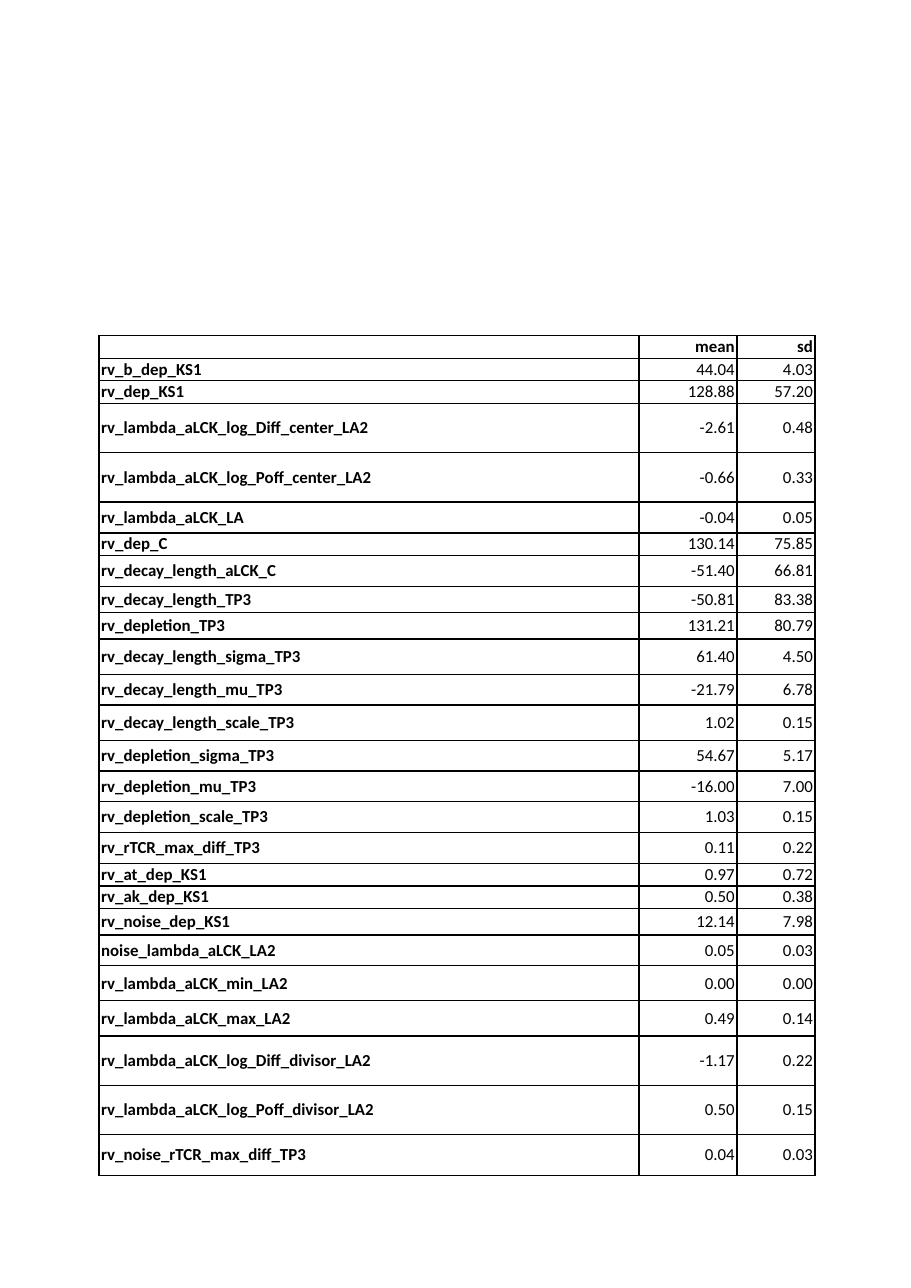
from lxml import etree
from pptx import Presentation, util as u
from pptx.dml.color import RGBColor
from pptx.enum import text
from pptx.oxml.ns import qn

BLACK = RGBColor(0, 0, 0)
WHITE = RGBColor(255, 255, 255)
FONT, SIZE = "Calibri", u.Pt(11)

# Row heights in cm
LINE, LOW, MID, TALL, LAST, DOUBLE = 0.52, 0.61, 0.71, 0.81, 0.94, 1.14
COLUMNS = (12.45, 2.26, 1.8)
LEFT, TOP = 2.28, 7.74

# parameter, mean, sd, row height
ROWS = [
    ("", "mean", "sd", LINE),
    ("rv_b_dep_KS1", "44.04", "4.03", LINE),
    ("rv_dep_KS1", "128.88", "57.20", LINE),
    ("rv_lambda_aLCK_log_Diff_center_LA2", "-2.61", "0.48", DOUBLE),
    ("rv_lambda_aLCK_log_Poff_center_LA2", "-0.66", "0.33", DOUBLE),
    ("rv_lambda_aLCK_LA", "-0.04", "0.05", MID),
    ("rv_dep_C", "130.14", "75.85", LINE),
    ("rv_decay_length_aLCK_C", "-51.40", "66.81", MID),
    ("rv_decay_length_TP3", "-50.81", "83.38", LOW),
    ("rv_depletion_TP3", "131.21", "80.79", LOW),
    ("rv_decay_length_sigma_TP3", "61.40", "4.50", TALL),
    ("rv_decay_length_mu_TP3", "-21.79", "6.78", MID),
    ("rv_decay_length_scale_TP3", "1.02", "0.15", TALL),
    ("rv_depletion_sigma_TP3", "54.67", "5.17", MID),
    ("rv_depletion_mu_TP3", "-16.00", "7.00", MID),
    ("rv_depletion_scale_TP3", "1.03", "0.15", MID),
    ("rv_rTCR_max_diff_TP3", "0.11", "0.22", MID),
    ("rv_at_dep_KS1", "0.97", "0.72", LINE),
    ("rv_ak_dep_KS1", "0.50", "0.38", LINE),
    ("rv_noise_dep_KS1", "12.14", "7.98", LOW),
    ("noise_lambda_aLCK_LA2", "0.05", "0.03", MID),
    ("rv_lambda_aLCK_min_LA2", "0.00", "0.00", TALL),
    ("rv_lambda_aLCK_max_LA2", "0.49", "0.14", TALL),
    ("rv_lambda_aLCK_log_Diff_divisor_LA2", "-1.17", "0.22", DOUBLE),
    ("rv_lambda_aLCK_log_Poff_divisor_LA2", "0.50", "0.15", DOUBLE),
    ("rv_noise_rTCR_max_diff_TP3", "0.04", "0.03", LAST),
]


def add_borders(cell):
    """Draw a thin black line on all four sides of a cell."""
    tc_pr = cell._tc.get_or_add_tcPr()
    for i, side in enumerate(("lnL", "lnR", "lnT", "lnB")):
        ln = etree.Element(qn(f"a:{side}"), w=str(u.Pt(1)))
        fill = etree.SubElement(ln, qn("a:solidFill"))
        etree.SubElement(fill, qn("a:srgbClr"), val=str(BLACK))
        tc_pr.insert(i, ln)


def fill_cell(cell, value, bold, align):
    """Format a cell and write its value."""
    cell.fill.solid()
    cell.fill.fore_color.rgb = WHITE
    add_borders(cell)
    cell.margin_left = cell.margin_right = u.Cm(0.05)
    cell.margin_top = cell.margin_bottom = u.Cm(0.02)
    cell.vertical_anchor = text.MSO_ANCHOR.MIDDLE
    p = cell.text_frame.paragraphs[0]
    p.alignment = align
    if not value:
        etree.SubElement(p._p, qn("a:endParaRPr"), sz=str(int(SIZE.pt * 100)))
        return
    r = p.add_run()
    r.text = value
    r.font.name, r.font.size, r.font.bold = FONT, SIZE, bold
    r.font.color.rgb = BLACK


def add_parameter_table(s):
    """Place the table of parameter means and deviations."""
    height = sum(row[-1] for row in ROWS)
    table = s.shapes.add_table(len(ROWS), len(COLUMNS), u.Cm(LEFT), u.Cm(TOP),
                               u.Cm(sum(COLUMNS)), u.Cm(height)).table
    table.first_row = table.horz_banding = False
    for column, width in zip(table.columns, COLUMNS):
        column.width = u.Cm(width)
    for i, (*values, row_height) in enumerate(ROWS):
        table.rows[i].height = u.Cm(row_height)
        for j, value in enumerate(values):
            align = text.PP_ALIGN.RIGHT if j else text.PP_ALIGN.LEFT
            fill_cell(table.cell(i, j), value, i == 0 or j == 0, align)


prs = Presentation()
prs.slide_width, prs.slide_height = u.Cm(21), u.Cm(29.7)
s = prs.slides.add_slide(prs.slide_layouts[6])
add_parameter_table(s)
prs.save("out.pptx")
